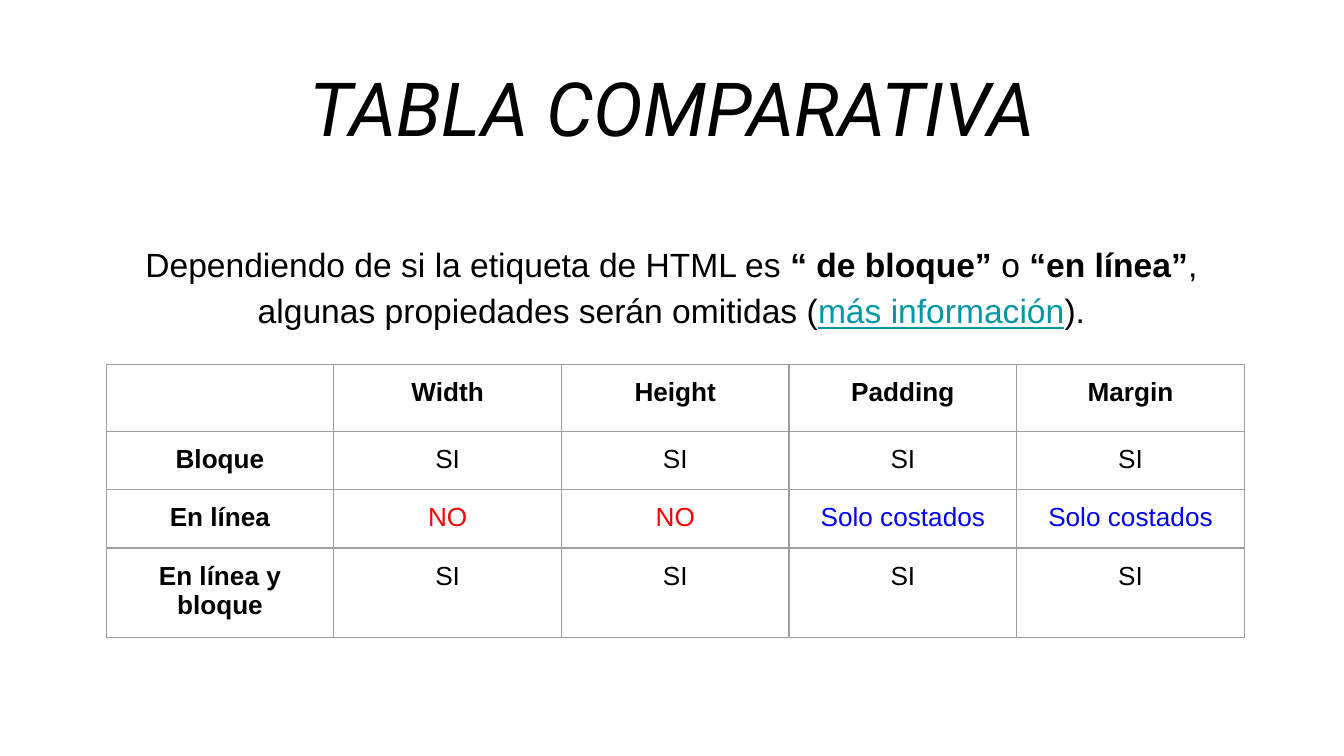
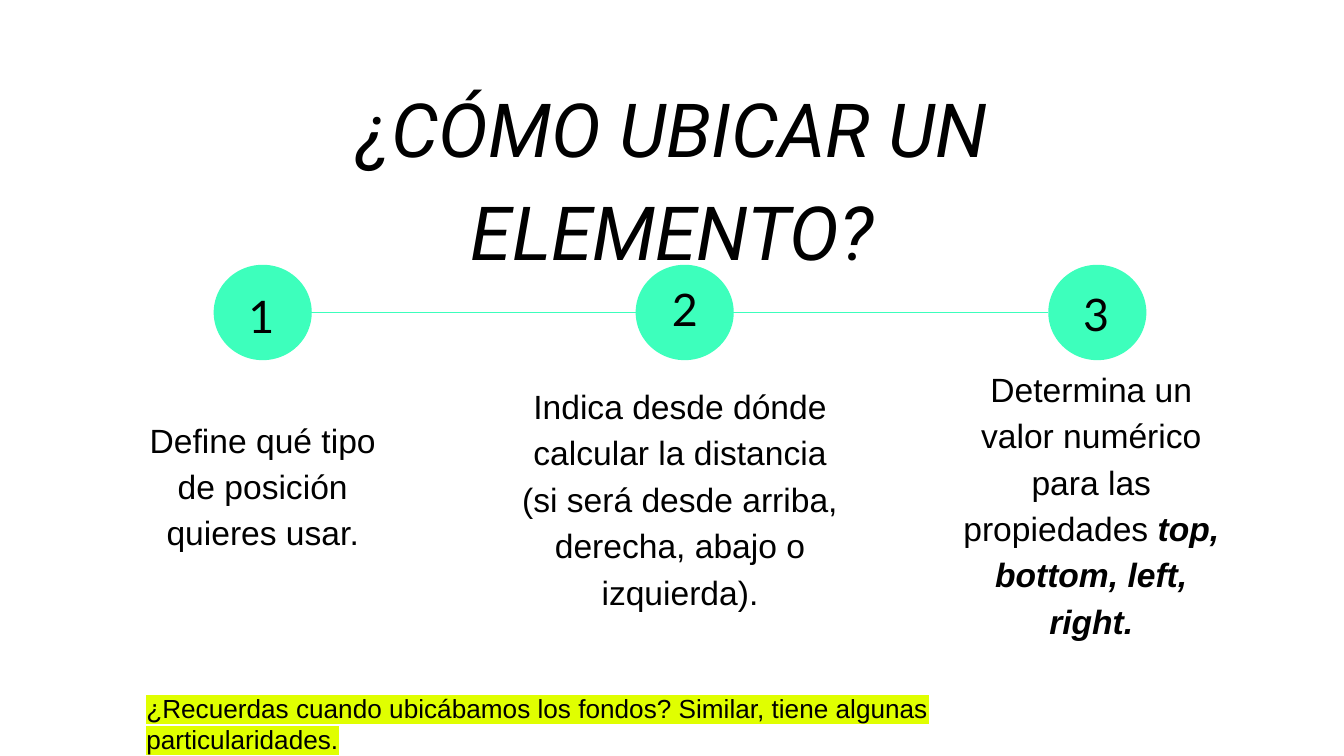
import pptx
import pptx.dml.color
import pptx.enum.shapes
import pptx.enum.text
import pptx.oxml.ns
import pptx.util
from lxml import etree
from pptx.util import Inches

BLACK = "000000"
MINT = "3DFFBC"
LIME = "E0FF00"
TEAL = "0097A7"
GREY = "9E9E9E"
INSET = Inches(0.1)
CENTER = pptx.enum.text.PP_ALIGN.CENTER
LEFT = pptx.enum.text.PP_ALIGN.LEFT
TOP = pptx.enum.text.MSO_ANCHOR.TOP
MIDDLE = pptx.enum.text.MSO_ANCHOR.MIDDLE
ANSWER_COLORS = {"NO": "FF0000", "Solo costados": "0000FF"}


def color(hex_string):
    return pptx.dml.color.RGBColor.from_string(hex_string)


def add_child(parent, tag, **attributes):
    return etree.SubElement(parent, pptx.oxml.ns.qn(tag), **attributes)


def style_run(run, size, font="Arial", hex_color=BLACK, bold=False, italic=False, underline=False):
    run.font.size = pptx.util.Pt(size)
    run.font.name = font
    run.font.bold = bold
    run.font.italic = italic
    run.font.underline = underline
    run.font.color.rgb = color(hex_color)


def highlight_run(run, hex_color):
    properties = run.font._element
    highlight = add_child(properties, "a:highlight")
    add_child(highlight, "a:srgbClr", val=hex_color)
    properties.find(pptx.oxml.ns.qn("a:solidFill")).addnext(highlight)


def set_insets(holder):
    holder.margin_left = holder.margin_right = INSET
    holder.margin_top = holder.margin_bottom = INSET


def add_text(slide, box, pieces, size, font="Arial", align=CENTER, spacing=1.15, anchor=TOP):
    text_frame = slide.shapes.add_textbox(*map(Inches, box)).text_frame
    text_frame.word_wrap = True
    text_frame.vertical_anchor = anchor
    set_insets(text_frame)
    paragraph = text_frame.paragraphs[0]
    paragraph.alignment = align
    paragraph.line_spacing = spacing
    for words, style in pieces:
        run = paragraph.add_run()
        run.text = words
        style_run(run, size, font, **style)
    return paragraph


def add_title(slide, top, words):
    add_text(slide, (1.59, top, 6.82, 0.76), [(words, {"italic": True})], 40, "Roboto")


def border_cell(cell):
    properties = cell._tc.get_or_add_tcPr()
    for side in ("a:lnL", "a:lnR", "a:lnT", "a:lnB"):
        line = add_child(properties, side, w=str(pptx.util.Pt(0.75)))
        fill = add_child(line, "a:solidFill")
        add_child(fill, "a:srgbClr", val=GREY)


def add_comparison_table(slide, box, rows):
    frame = slide.shapes.add_table(len(rows), len(rows[0]), *map(Inches, box))
    table = frame.table
    table.first_row = False
    table.horz_banding = False
    for row_index, row in enumerate(rows):
        for column_index, words in enumerate(row):
            cell = table.cell(row_index, column_index)
            set_insets(cell)
            border_cell(cell)
            cell.fill.background()
            if words:
                cell.text_frame.text = words
                paragraph = cell.text_frame.paragraphs[0]
                paragraph.alignment = CENTER
                is_heading = row_index == 0 or column_index == 0
                style_run(paragraph.runs[0], 14, bold=is_heading,
                          hex_color=ANSWER_COLORS.get(words, BLACK))


def add_timeline(slide, box, circle_lefts, number_boxes):
    left, top, width, height = box
    middle = top + height / 2
    diameter = 0.73
    connector = slide.shapes.add_connector(
        pptx.enum.shapes.MSO_CONNECTOR.STRAIGHT,
        Inches(left + diameter), Inches(middle), Inches(left + width - diameter), Inches(middle))
    connector.line.color.rgb = color(MINT)
    connector.line.width = pptx.util.Pt(0.75)
    add_child(connector._element.spPr, "a:effectLst")
    for offset in circle_lefts:
        circle = slide.shapes.add_shape(
            pptx.enum.shapes.MSO_SHAPE.OVAL,
            Inches(left + offset), Inches(top), Inches(diameter), Inches(height))
        circle.shadow.inherit = False
        circle.fill.solid()
        circle.fill.fore_color.rgb = color(MINT)
        circle.line.fill.background()
    for number, (offset, drop) in enumerate(number_boxes, 1):
        add_text(slide, (left + offset, top + drop, 0.32, 0.43), [(str(number), {})],
                 24, "Lato", LEFT, 1.0)


def build_comparison_slide(slide):
    add_title(slide, 0.26, "TABLA COMPARATIVA")
    add_text(slide, (0.72, 1.67, 8.55, 0.84), [
        ("Dependiendo de si la etiqueta de HTML es ", {}),
        ("“ de bloque”", {"bold": True}),
        (" o ", {}),
        ("“en línea”", {"bold": True}),
        (", algunas propiedades serán omitidas (", {}),
        ("más información", {"hex_color": TEAL, "underline": True}),
        (").", {}),
    ], 18)
    rows = [
        ["", "Width", "Height", "Padding", "Margin"],
        ["Bloque"] + ["SI"] * 4,
        ["En línea", "NO", "NO", "Solo costados", "Solo costados"],
        ["En línea y bloque"] + ["SI"] * 4,
    ]
    add_comparison_table(slide, (0.79, 2.71, 8.47, 1.68), rows)


def build_steps_slide(slide):
    add_timeline(slide, (1.59, 1.97, 6.94, 0.71), (0, 3.14, 6.21),
                 ((0.16, 0.08), (3.31, 0.03), (6.37, 0.06)))
    steps = [
        ((0.99, 3.01, 1.93, 1.17), [("Define qué tipo de posición quieres usar.", {})]),
        ((6.99, 3.15, 2.26, 1.17), [
            ("Determina un valor numérico para las propiedades ", {}),
            ("top, bottom, left, right.", {"bold": True, "italic": True})]),
        ((3.76, 3.19, 2.6, 1), [("Indica desde dónde calcular la distancia (si será desde "
                                 "arriba, derecha, abajo o izquierda).", {})]),
    ]
    for box, pieces in steps:
        add_text(slide, box, pieces, 18, anchor=MIDDLE)
    add_title(slide, 0.42, "¿CÓMO UBICAR UN ELEMENTO?")
    reminder = add_text(slide, (0.99, 5.05, 7.28, 0.43), [
        ("¿Recuerdas cuando ubicábamos los fondos? Similar, tiene algunas particularidades.", {}),
    ], 14, align=LEFT, spacing=1.0)
    highlight_run(reminder.runs[0], LIME)


def main():
    presentation = pptx.Presentation()
    presentation.slide_width = Inches(10)
    presentation.slide_height = Inches(10) * 9 // 16
    for build_slide in (build_comparison_slide, build_steps_slide):
        build_slide(presentation.slides.add_slide(presentation.slide_layouts[6]))
    presentation.save("out.pptx")


if __name__ == "__main__":
    main()
